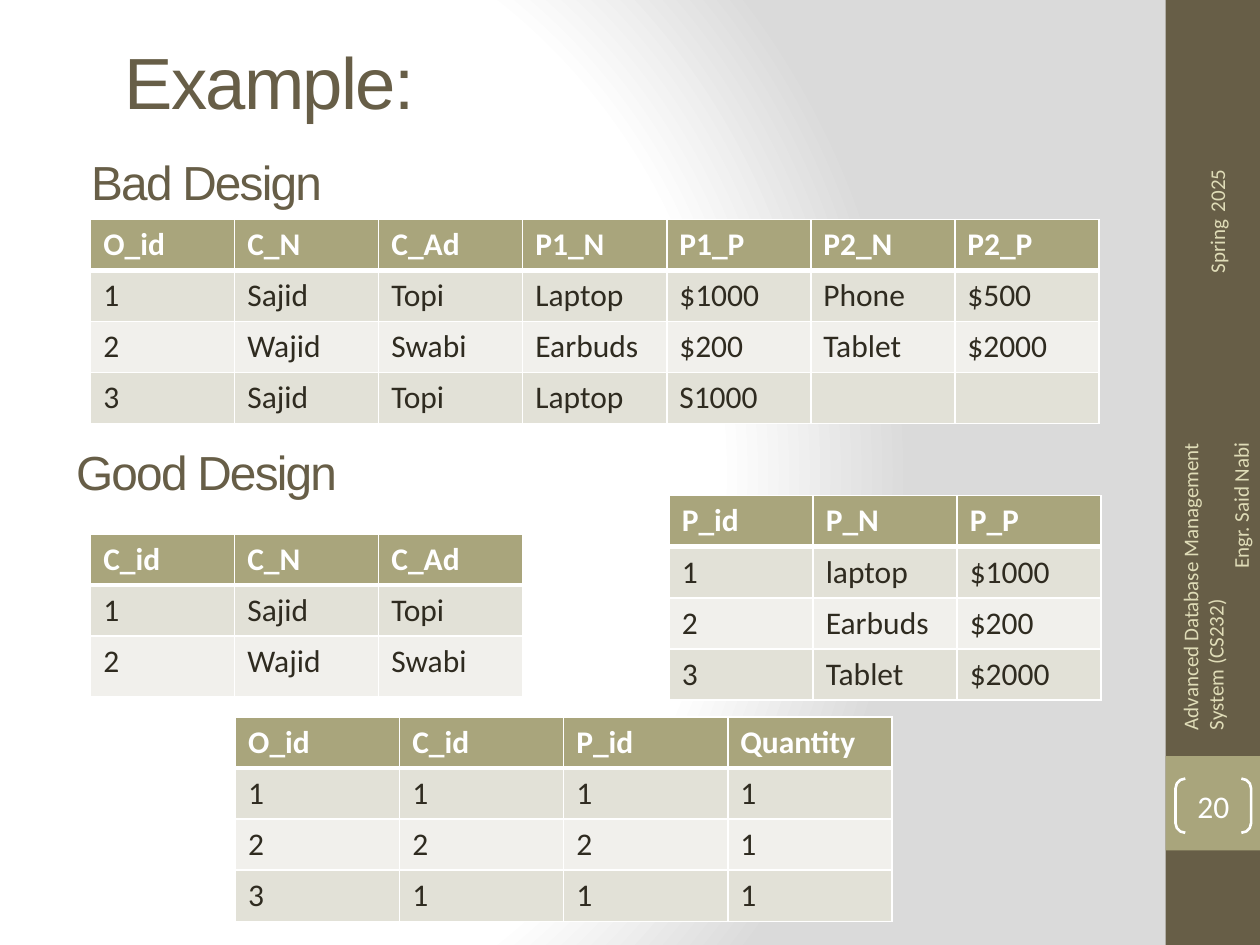
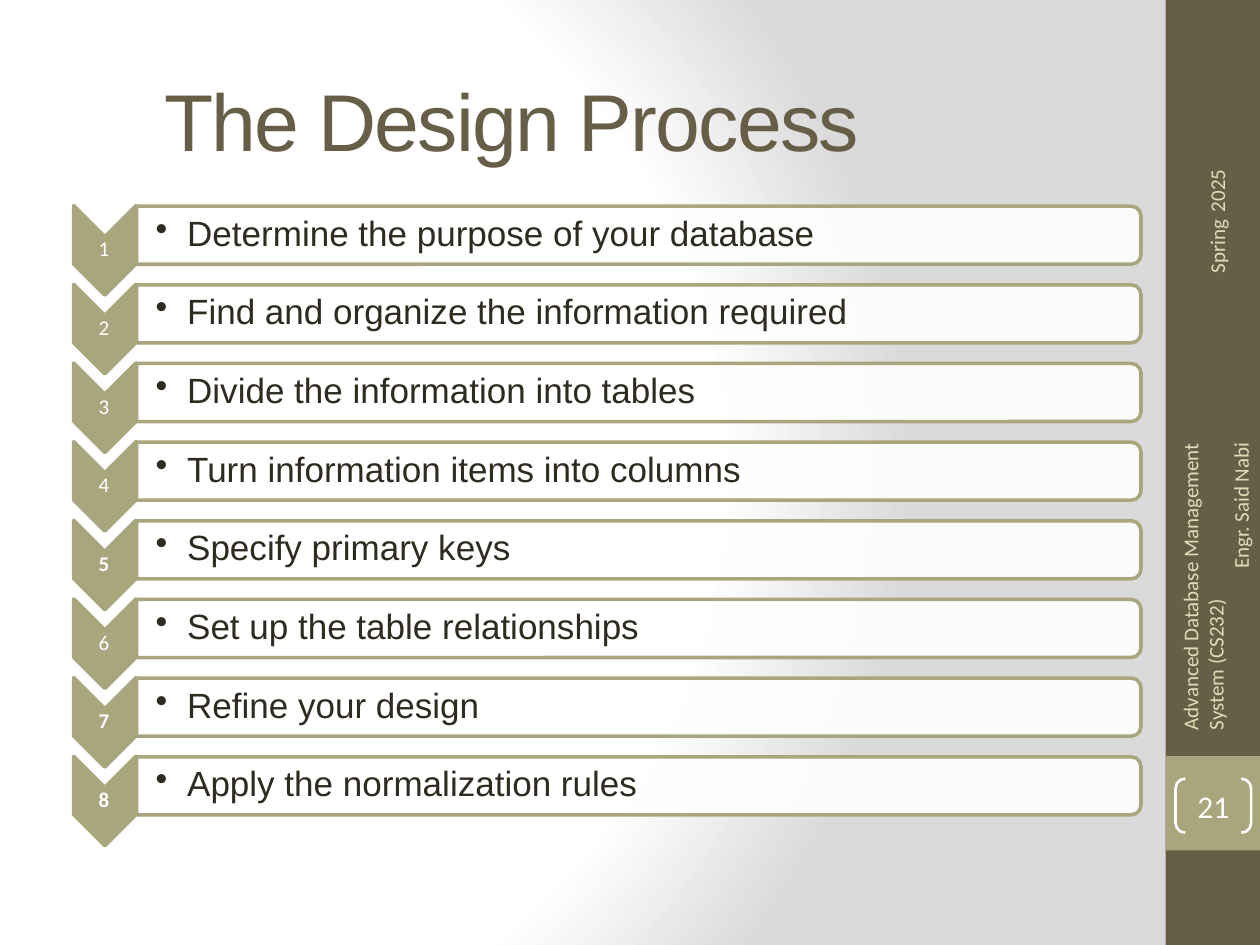
import pptx
import pptx.util
import pptx.dml.color
import pptx.enum.shapes
import pptx.enum.text
import pptx.oxml
import pptx.oxml.ns

Pt = pptx.util.Pt
Kind = pptx.enum.shapes.MSO_SHAPE
Side = pptx.enum.text.PP_ALIGN
Hold = pptx.enum.text.MSO_ANCHOR
DARK, SAND, PALE, INK, WHITE = "675E47", "A9A57C", "DFDCB7", "2F2B20", "FFFFFF"
SPACE = pptx.oxml.ns.nsdecls("a", "p")


def hue(code):
    return pptx.dml.color.RGBColor.from_string(code)


def write(page, area, words, size, face, tint, align=Side.CENTER, inset=None):
    box = page.shapes.add_textbox(*map(Pt, area))
    frame = box.text_frame
    frame.word_wrap = True
    frame.vertical_anchor = Hold.MIDDLE
    if inset is not None:
        frame.margin_left = Pt(inset)
        frame.margin_right = frame.margin_top = frame.margin_bottom = Pt(0.72)
    for row, line in enumerate(words.split("\n")):
        para = frame.add_paragraph() if row else frame.paragraphs[0]
        para.text = line
        para.alignment = align
        para.font.size = Pt(size)
        para.font.name = face
        para.font.color.rgb = hue(tint)
    return box


deck = pptx.Presentation()
deck.slide_width, deck.slide_height = Pt(720), Pt(540)
pages = []

for count in (20, 21):
    page = deck.slides.add_slide(deck.slide_layouts[6])
    pages.append(page)
    stops = "".join(
        f'<a:gs pos="{spot}"><a:srgbClr val="{code}"/></a:gs>'
        for spot, code in ((0, WHITE), (75000, WHITE), (100000, "DADADA"))
    )
    page.element.cSld.insert(0, pptx.oxml.parse_xml(
        f'<p:bg {SPACE}><p:bgPr><a:gradFill rotWithShape="1"><a:gsLst>{stops}</a:gsLst>'
        '<a:path path="circle"><a:fillToRect l="20000" t="50000" r="100000" b="50000"/></a:path>'
        '</a:gradFill><a:effectLst/></p:bgPr></p:bg>'
    ))
    for top, high, code in ((0, 540, DARK), (432, 54, SAND)):
        band = page.shapes.add_shape(Kind.RECTANGLE, Pt(666), Pt(top), Pt(54), Pt(high))
        band.shadow.inherit = False
        band.fill.solid()
        band.fill.fore_color.rgb = hue(code)
        band.line.fill.background()

    foot = write(page, (601.2, 324.72, 186.48, 28.8),
                 "Advanced Database Management System (CS232)\nEngr. Said Nabi",
                 12, "Calibri", PALE, Side.RIGHT)
    foot.rotation = 270
    course = foot.text_frame.paragraphs[0]
    course.alignment = Side.LEFT
    course._p.get_or_add_pPr().set("marL", str(Pt(8)))

    term = write(page, (655.92, 111.6, 74.16, 28.8), "", 12, "Calibri", PALE, Side.LEFT)
    term.rotation = 270
    term.text_frame.word_wrap = False
    term.text_frame.vertical_anchor = Hold.TOP
    for word, size in (("Spring", 12), (" ", 18), ("2025", 12)):
        run = term.text_frame.paragraphs[0].add_run()
        run.text = word
        run.font.size = Pt(size)

    mark = page.shapes.add_shape(Kind.DOUBLE_BRACKET, Pt(671.76), Pt(444.96), Pt(43.2), Pt(30.96))
    mark.shadow.inherit = False
    mark.adjustments[0] = 0.18
    mark.fill.background()
    mark.line.color.rgb = hue(WHITE)
    mark.line.width = Pt(1.5)
    frame = mark.text_frame
    frame.margin_left = frame.margin_right = frame.margin_top = frame.margin_bottom = 0
    frame.vertical_anchor = Hold.MIDDLE
    para = frame.paragraphs[0]
    para.text = str(count)
    para.alignment = Side.CENTER
    para.font.size = Pt(18)
    para.font.name = "Calibri"
    para.font.color.rgb = hue(WHITE)

first, second = pages

heads = [
    (first, (-156.24, 19.8, 620.64, 51.84), "Example:", 41.4),
    (first, (-192.24, 77.6, 620.64, 51.84), "Bad Design", 27.3),
    (first, (-192.24, 243.6, 620.64, 51.84), "Good Design", 27.3),
    (second, (-149.76, 12.4, 884.16, 111.6), "The Design Process", 46),
]
for page, area, words, size in heads:
    head = write(page, area, words, size, "Arial", DARK)
    head.text_frame.paragraphs[0].runs[0]._r.get_or_add_rPr().set("spc", "-100")

grids = [
    (51.84, 125.28, 82.3, [29.2] * 4, [
        "O_id C_N C_Ad P1_N P1_P P2_N P2_P",
        "1 Sajid Topi Laptop $1000 Phone $500",
        "2 Wajid Swabi Earbuds $200 Tablet $2000",
        "3 Sajid Topi Laptop S1000",
    ]),
    (51.84, 305, 82.3, [29.2, 29.2, 34.5], ["C_id C_N C_Ad", "1 Sajid Topi", "2 Wajid Swabi"]),
    (382.4, 283.2, 82.3, [29.2] * 4,
     ["P_id P_N P_P", "1 laptop $1000", "2 Earbuds $200", "3 Tablet $2000"]),
    (134.64, 409.68, 93.75, [29.2] * 4, ["O_id C_id P_id Quantity", "1 1 1 1", "2 2 2 1", "3 1 1 1"]),
]
for left, top, wide, highs, lines in grids:
    cols = len(lines[0].split())
    table = first.shapes.add_table(
        len(lines), cols, Pt(left), Pt(top), Pt(wide * cols), Pt(sum(highs))).table
    for col in table.columns:
        col.width = Pt(wide)
    for row, line in enumerate(lines):
        table.rows[row].height = Pt(highs[row])
        words = line.split()
        words += [""] * (cols - len(words))
        for col, word in enumerate(words):
            cell = table.cell(row, col)
            cell.fill.solid()
            cell.fill.fore_color.rgb = hue(SAND if row == 0 else "E2E1D7" if row % 2 else "F1F0EC")
            para = cell.text_frame.paragraphs[0]
            para.text = word
            para.font.size = Pt(18)
            para.font.name = "Calibri"
            para.font.bold = row == 0
            para.font.color.rgb = hue(INK if row else WHITE)
            edges = (("L", 1), ("R", 1), ("T", 3 if row == 1 else 1), ("B", 1 if row else 3))
            for spot, (edge, thick) in enumerate(edges):
                cell._tc.get_or_add_tcPr().insert(spot, pptx.oxml.parse_xml(
                    f'<a:ln{edge} {SPACE} w="{Pt(thick)}"><a:solidFill>'
                    f'<a:srgbClr val="{WHITE}"/></a:solidFill></a:ln{edge}>'
                ))

steps = [
    "Determine the purpose of your database",
    "Find and organize the information required",
    "Divide the information into tables",
    "Turn information items into columns",
    "Specify primary keys",
    "Set up the table relationships",
    "Refine your design",
    "Apply the normalization rules",
]
for num, step in enumerate(steps, 1):
    drop = (num - 1) * 44.95
    arrow = second.shapes.add_shape(Kind.CHEVRON, Pt(34.3), Pt(125.3 + drop), Pt(51.2), Pt(35.6))
    bar = second.shapes.add_shape(
        Kind.ROUND_2_SAME_RECTANGLE, Pt(348.4), Pt(-152.6 + drop), Pt(33.2), Pt(574))
    for shape, code in ((arrow, SAND), (bar, WHITE)):
        shape.rotation = 90
        shape.shadow.inherit = False
        shape.fill.solid()
        shape.fill.fore_color.rgb = hue(code)
        shape.line.color.rgb = hue(SAND)
        shape.line.width = Pt(2)
    tone = bar.element.xpath("./p:spPr/a:solidFill/a:srgbClr")[0]
    tone.append(pptx.oxml.parse_xml(f'<a:alpha {SPACE} val="90000"/>'))

    label = write(second, (41.76, 135.36 + drop, 35.28, 15.12), str(num), 12, "Calibri", WHITE, inset=0.72)
    para = label.text_frame.paragraphs[0]
    para.line_spacing = 0.9
    para.font.bold = num in (5, 7, 8)

    item = write(second, (77.76, 119.4 + drop, 572.4, 29.52), step, 20, "Arial", INK, Side.LEFT, 11.2)
    para = item.text_frame.paragraphs[0]
    para.line_spacing = 0.9
    prop = para._p.get_or_add_pPr()
    prop.set("marL", str(Pt(18)))
    prop.set("indent", str(Pt(-18)))
    prop.find(pptx.oxml.ns.qn("a:lnSpc")).addnext(
        pptx.oxml.parse_xml(f'<a:buChar {SPACE} char="•"/>'))

deck.save("out.pptx")
